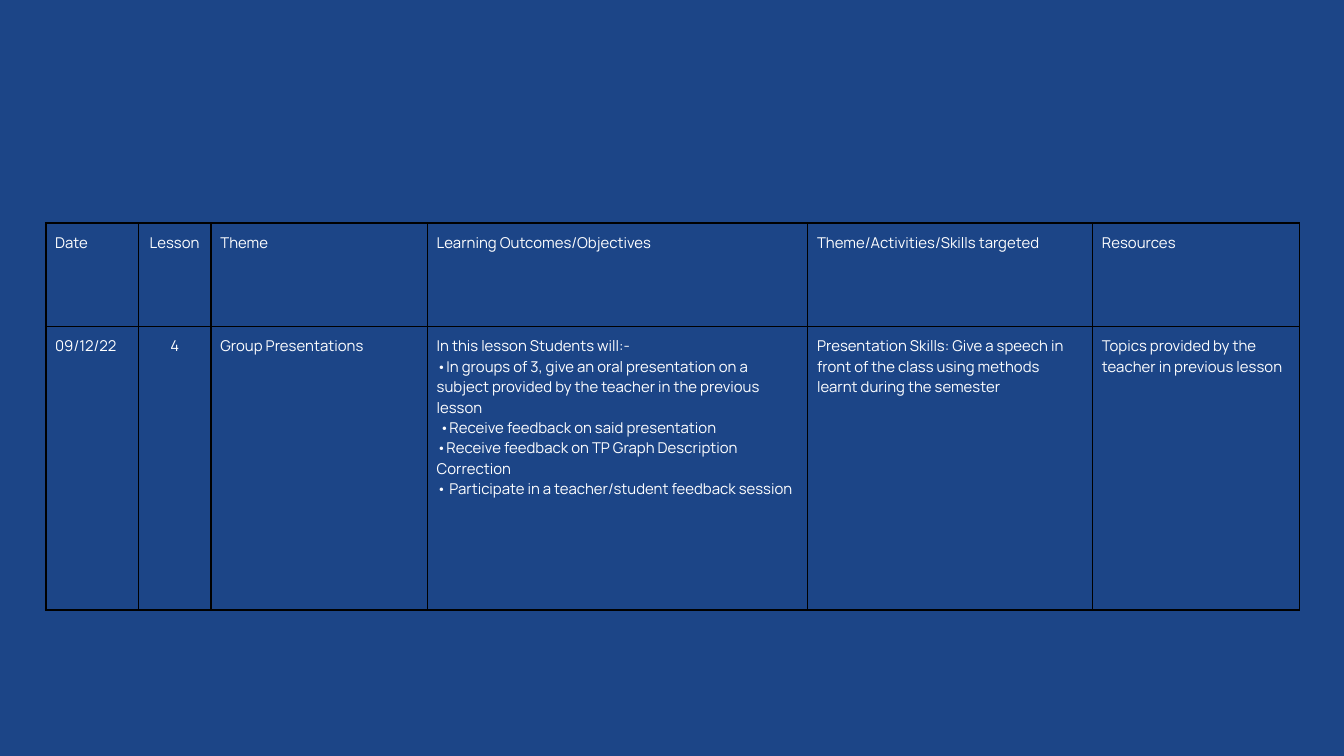
import pptx
import pptx.dml.color
import pptx.enum.text
import pptx.oxml
import pptx.oxml.ns
import pptx.util
from pptx.util import Inches

NAVY = pptx.dml.color.RGBColor(0x1C, 0x45, 0x87)
WHITE = pptx.dml.color.RGBColor(0xFF, 0xFF, 0xFF)
BLACK = pptx.dml.color.RGBColor(0x00, 0x00, 0x00)
FONT = "Manrope"
FONT_SIZE = pptx.util.Pt(8)
BORDER_WIDTH = pptx.util.Pt(1)
CELL_MARGIN = Inches(0.07)

# Content: lines within a cell become paragraphs
HEADERS = ["Date", "Lesson", "Theme", "Learning Outcomes/Objectives",
           "Theme/Activities/Skills targeted", "Resources"]
OUTCOMES = [
    "In this lesson Students will:-",
    "•In groups of 3, give an oral presentation on a subject provided by "
    "the teacher in the previous lesson",
    " •Receive feedback on said presentation",
    "•Receive feedback on TP Graph Description Correction",
    "• Participate in a teacher/student feedback session",
]
LESSON = [
    "09/12/22", "4", "Group Presentations", "\n".join(OUTCOMES),
    "Presentation Skills: Give a speech in front of the class using methods "
    "learnt during the semester",
    "Topics provided by the teacher in previous lesson",
]
ROWS = [HEADERS, LESSON]
CENTERED_COLUMN = HEADERS.index("Lesson")

# Table geometry in inches
LEFT, TOP = 0.34, 1.66
COLUMN_WIDTHS = [0.69, 0.54, 1.61, 2.83, 2.12, 1.54]
ROW_HEIGHTS = [0.77, 2.11]


def add_borders(cell):
    """Draw a solid line on all four sides; lines precede the cell fill."""
    properties = cell._tc.get_or_add_tcPr()
    for position, side in enumerate(("lnL", "lnR", "lnT", "lnB")):
        properties.insert(position, pptx.oxml.parse_xml(
            f'<a:{side} {pptx.oxml.ns.nsdecls("a")} w="{BORDER_WIDTH}">'
            f'<a:solidFill><a:srgbClr val="{BLACK}"/></a:solidFill>'
            f'</a:{side}>'))


def fill_cell(cell, text, centered):
    cell.margin_left = cell.margin_right = CELL_MARGIN
    cell.margin_top = cell.margin_bottom = CELL_MARGIN
    cell.fill.background()
    add_borders(cell)
    cell.text_frame.text = text
    for paragraph in cell.text_frame.paragraphs:
        if centered:
            paragraph.alignment = pptx.enum.text.PP_ALIGN.CENTER
        for span in paragraph.runs:
            span.font.name = FONT
            span.font.size = FONT_SIZE
            span.font.color.rgb = WHITE


def main():
    # Widescreen page, 16:9
    deck = pptx.Presentation()
    deck.slide_width = Inches(10)
    deck.slide_height = deck.slide_width * 9 // 16
    page = deck.slides.add_slide(deck.slide_layouts[6])
    page.background.fill.solid()
    page.background.fill.fore_color.rgb = NAVY

    # Lesson plan table
    table = page.shapes.add_table(
        len(ROWS), len(HEADERS), Inches(LEFT), Inches(TOP),
        Inches(sum(COLUMN_WIDTHS)), Inches(sum(ROW_HEIGHTS))).table
    table.first_row = table.horz_banding = False
    for column, width in zip(table.columns, COLUMN_WIDTHS):
        column.width = Inches(width)
    for row, height, texts in zip(table.rows, ROW_HEIGHTS, ROWS):
        row.height = Inches(height)
        for index, text in enumerate(texts):
            fill_cell(row.cells[index], text, index == CENTERED_COLUMN)

    deck.save("out.pptx")


if __name__ == "__main__":
    main()
